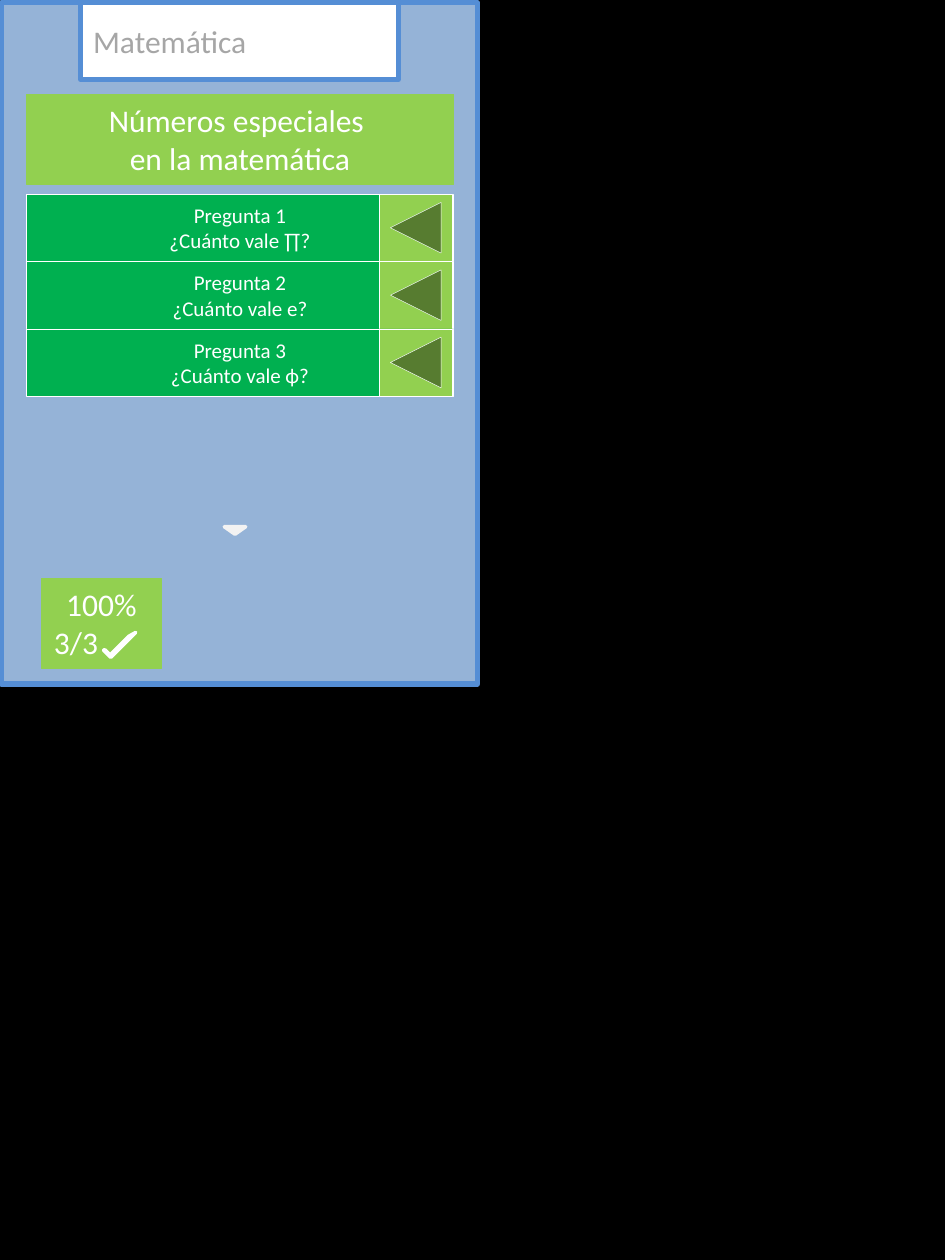
from pptx import Presentation
from pptx.dml.color import RGBColor
from pptx.enum.shapes import MSO_SHAPE as Shape
from pptx.enum.text import MSO_ANCHOR as Anchor, PP_ALIGN as Align
from pptx.util import Inches, Pt

BLACK = RGBColor(0x00, 0x00, 0x00)
WHITE = RGBColor(0xFF, 0xFF, 0xFF)
OFF_WHITE = RGBColor(0xF2, 0xF2, 0xF2)
GREY = RGBColor(0xA6, 0xA6, 0xA6)
PALE_BLUE = RGBColor(0x95, 0xB3, 0xD7)
BLUE = RGBColor(0x55, 0x8E, 0xD5)
LIME = RGBColor(0x92, 0xD0, 0x50)
GREEN = RGBColor(0x00, 0xB0, 0x50)

SUBJECT = [("Matemática", Align.LEFT)]
TOPIC = [("Números especiales ", Align.CENTER), ("en la matemática", Align.CENTER)]
QUESTIONS = ["¿Cuánto vale ∏?", "¿Cuánto vale e?", "¿Cuánto vale ϕ?"]
SCORE = [("100%", Align.CENTER), ("3/3", Align.LEFT)]

LEFT, WIDTH = 0.21, 3.39
ROW_TOP, ROW_HEIGHT = 1.54, 0.535
BUTTON_LEFT, BUTTON_WIDTH = 3.01, 0.58


def add_shape(page, kind, frame, fill, line, weight, rotation=0):
    shape = page.shapes.add_shape(kind, *map(Inches, frame))
    shape.shadow.inherit = False
    shape.fill.solid()
    shape.fill.fore_color.rgb = fill
    shape.line.color.rgb = line
    shape.line.width = Pt(weight)
    shape.rotation = rotation
    return shape


def write(shape, lines, size=18, color=WHITE):
    """Fill the shape with (text, alignment) lines."""
    frame = shape.text_frame
    frame.word_wrap = True
    frame.vertical_anchor = Anchor.MIDDLE
    font_format = {"name": "Calibri", "size": Pt(size)}
    for index, (text, alignment) in enumerate(lines):
        para = frame.add_paragraph() if index else frame.paragraphs[0]
        para.alignment = alignment
        span = para.add_run()
        span.text = text
        for name, value in font_format.items():
            setattr(span.font, name, value)
        span.font.color.rgb = color


def main():
    deck = Presentation()
    deck.slide_width, deck.slide_height = Inches(7.5), Inches(10)
    page = deck.slides.add_slide(deck.slide_layouts[6])
    page.background.fill.solid()
    page.background.fill.fore_color.rgb = BLACK

    add_shape(page, Shape.RECTANGLE, (0.01, 0.02, 3.78, 5.41), PALE_BLUE, BLUE, 3)
    subject = add_shape(page, Shape.RECTANGLE, (0.64, 0.02, 2.52, 0.61), WHITE, BLUE, 3)
    write(subject, SUBJECT, color=GREY)
    topic = add_shape(page, Shape.RECTANGLE, (LEFT, 0.75, WIDTH, 0.71), LIME, LIME, 0.25)
    write(topic, TOPIC)

    for index, question in enumerate(QUESTIONS):
        top = ROW_TOP + index * ROW_HEIGHT
        row = add_shape(page, Shape.RECTANGLE, (LEFT, top, WIDTH, ROW_HEIGHT),
                        GREEN, WHITE, 0.25)
        write(row, [(f"Pregunta {index + 1}", Align.CENTER), (question, Align.CENTER)], size=12)
        add_shape(page, Shape.ACTION_BUTTON_BACK_OR_PREVIOUS,
                  (BUTTON_LEFT, top, BUTTON_WIDTH, ROW_HEIGHT), LIME, WHITE, 0.25)

    add_shape(page, Shape.ISOSCELES_TRIANGLE, (1.78, 4.18, 0.17, 0.06),
              OFF_WHITE, OFF_WHITE, 2, rotation=180)
    score = add_shape(page, Shape.RECTANGLE, (0.33, 4.59, 0.95, 0.71), LIME, LIME, 0.25)
    write(score, SCORE)
    check = add_shape(page, Shape.HALF_FRAME, (0.91, 4.95, 0.08, 0.28),
                      LIME, WHITE, 2, rotation=225)
    check.adjustments[0], check.adjustments[1] = 0.12, 0.21

    deck.save("out.pptx")


if __name__ == "__main__":
    main()
